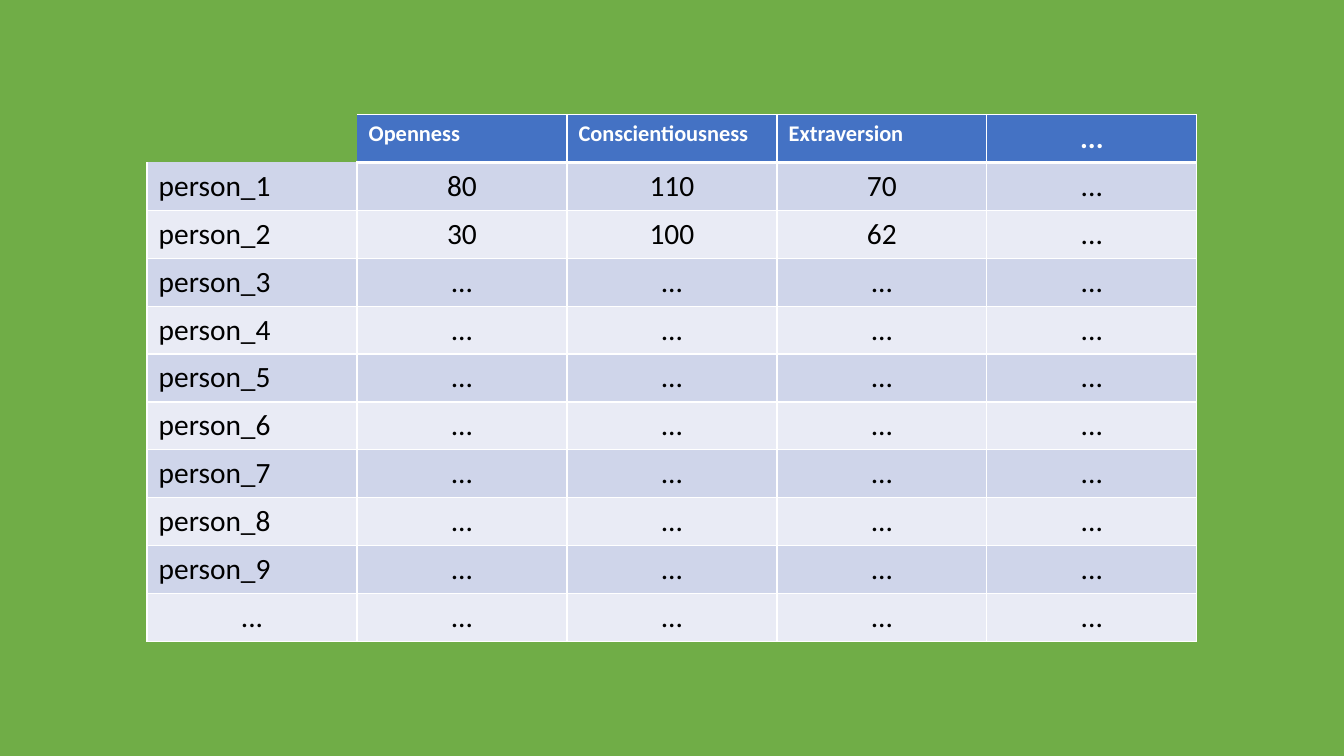
from lxml import etree
from pptx import Presentation
from pptx.dml.color import RGBColor
from pptx.enum.text import PP_ALIGN
from pptx.oxml.ns import qn
from pptx.util import Pt

LEFT, CENTER = PP_ALIGN.LEFT, PP_ALIGN.CENTER
COLORS = {
    "background": "70AD47",
    "header": "4472C4",
    "odd_row": "CFD5EA",
    "even_row": "E9EBF5",
    "border": "FFFFFF",
    "header_text": "FFFFFF",
    "body_text": "000000",
}
FONT = "Calibri"
DOTS = "..."
TRAITS = ["Openness", "Conscientiousness", "Extraversion", DOTS]
PERSON_COUNT = 9
KNOWN_SCORES = {1: ["80", "110", "70"], 2: ["30", "100", "62"]}
COLUMN_WIDTH, ROW_HEIGHT = Pt(150), Pt(34.23)


def rgb(name):
    return RGBColor.from_string(COLORS[name])


def score_rows():
    """Return the header, one row per person and a closing row of dots."""
    rows = [["", *TRAITS]]
    for person in range(1, PERSON_COUNT + 1):
        scores = KNOWN_SCORES.get(person, [DOTS] * 3)
        rows.append([f"person_{person}", *scores, DOTS])
    rows.append([DOTS] * 5)
    return rows


def set_border(cell, side, width):
    """Draw one side (L, R, T or B) of a cell; a width of 0 hides it."""
    properties = cell._tc.get_or_add_tcPr()
    line = etree.SubElement(properties, qn(f"a:ln{side}"), w=str(Pt(width)))
    if width:
        fill = etree.SubElement(line, qn("a:solidFill"))
        etree.SubElement(fill, qn("a:srgbClr"), val=COLORS["border"])
    else:
        etree.SubElement(line, qn("a:noFill"))


def border_widths(row, column):
    widths = {"L": 1, "R": 1, "T": 1, "B": 1}
    if (row, column) == (0, 0):
        return dict.fromkeys(widths, 0)
    if row == 0:
        widths["B"] = 3
    if row == 1:
        widths["T"] = 3 if column else 0
    if (row, column) == (0, 1):
        widths["L"] = 0
    return widths


def fill_cell(cell, row):
    if row == 0:
        color = "header"
    else:
        color = "odd_row" if row % 2 else "even_row"
    cell.fill.solid()
    cell.fill.fore_color.rgb = rgb(color)


def write_cell(cell, text, is_header, is_label):
    cell.margin_left = cell.margin_right = Pt(8.4)
    cell.margin_top = cell.margin_bottom = Pt(4.2)
    paragraph = cell.text_frame.paragraphs[0]
    paragraph.text = text
    paragraph.alignment = LEFT if is_label and text != DOTS else CENTER
    font = paragraph.runs[0].font
    font.name = FONT
    font.size = Pt(16 if is_header and text != DOTS else 21)
    font.bold = is_header
    font.color.rgb = rgb("header_text" if is_header else "body_text")


def add_score_table(slide, rows, left, top):
    row_count, column_count = len(rows), len(rows[0])
    table = slide.shapes.add_table(
        row_count, column_count, left, top,
        COLUMN_WIDTH * column_count, ROW_HEIGHT * row_count).table
    table.first_row = table.horz_banding = False
    for table_row in table.rows:
        table_row.height = ROW_HEIGHT
    for table_column in table.columns:
        table_column.width = COLUMN_WIDTH

    for row, texts in enumerate(rows):
        for column, text in enumerate(texts):
            cell = table.cell(row, column)
            for side, width in border_widths(row, column).items():
                set_border(cell, side, width)
            if text:
                fill_cell(cell, row)
                write_cell(cell, text, row == 0, row == 0 or column == 0)
            else:
                cell.fill.background()


def main():
    presentation = Presentation()
    presentation.slide_width, presentation.slide_height = Pt(960), Pt(540)
    slide = presentation.slides.add_slide(presentation.slide_layouts[6])
    slide.background.fill.solid()
    slide.background.fill.fore_color.rgb = rgb("background")
    add_score_table(slide, score_rows(), Pt(105), Pt(81.8))
    presentation.save("out.pptx")


if __name__ == "__main__":
    main()
